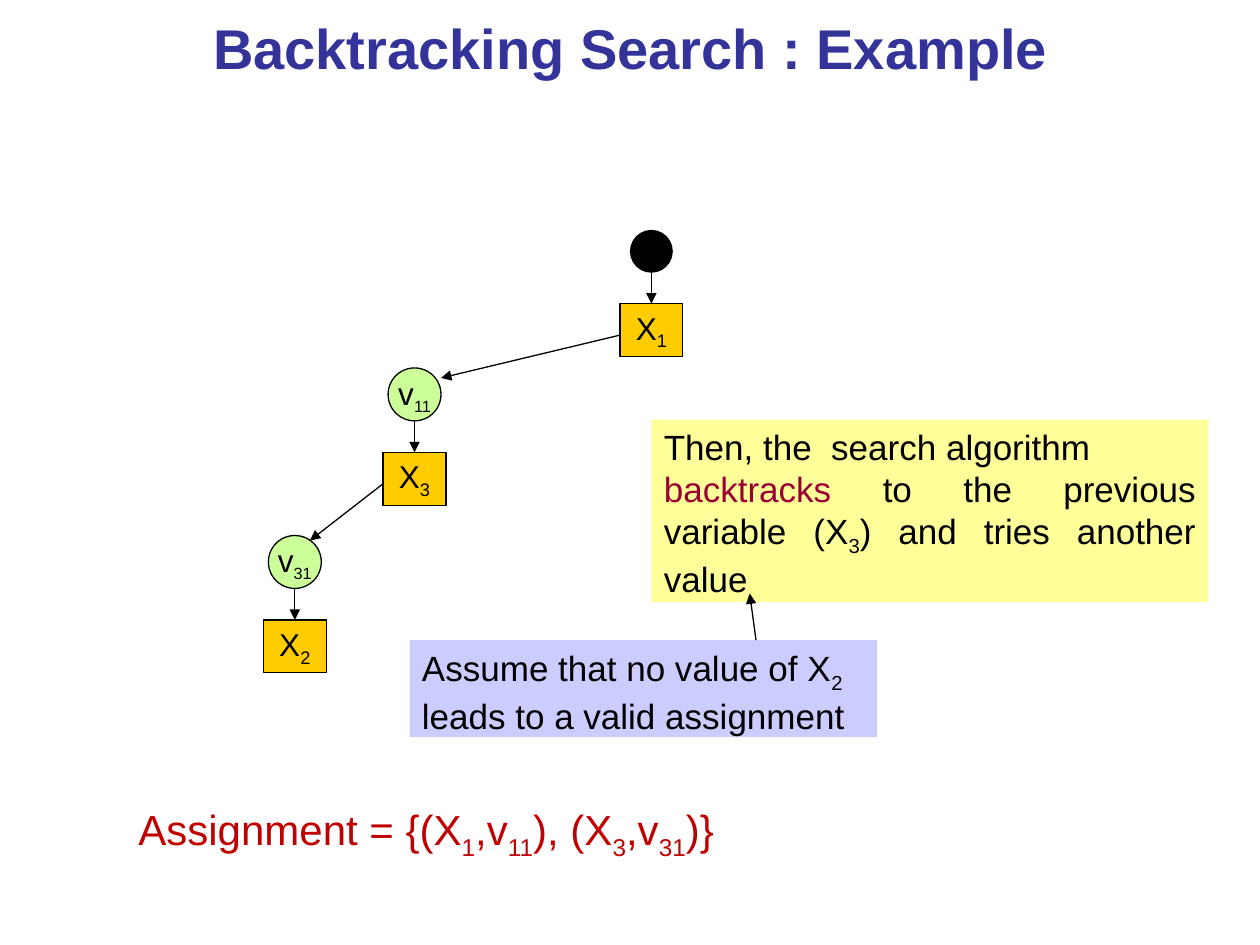
import pptx
import pptx.util
import pptx.dml.color
import pptx.enum.shapes
import pptx.enum.text
import pptx.oxml.ns
import lxml.etree

Inches = pptx.util.Inches
Pt = pptx.util.Pt
Shape = pptx.enum.shapes.MSO_SHAPE
Align = pptx.enum.text.PP_ALIGN
Anchor = pptx.enum.text.MSO_ANCHOR
Fit = pptx.enum.text.MSO_AUTO_SIZE
BLACK = "000000"


def color(code):
    """Turn a hex string into a colour."""
    return pptx.dml.color.RGBColor.from_string(code)


def write(shape, lines, size, align, ink=BLACK, sub=None, accent=None, bold=False):
    """Fill a shape with lines, where _x_ is a subscript and *x* is accented."""
    frame = shape.text_frame
    for index, line in enumerate(lines):
        para = frame.add_paragraph() if index else frame.paragraphs[0]
        para.alignment = align
        para.font.name = "Arial"
        para.font.size = Pt(size)
        para.font.bold = bold
        para.font.color.rgb = color(ink)
        for turn, part in enumerate(line.split("*")):
            for step, text in enumerate(part.split("_")):
                if not text:
                    continue
                run = para.add_run()
                run.text = text
                if turn % 2:
                    run.font.color.rgb = color(accent)
                if step % 2:
                    run.font._element.set("baseline", "-25000")
                    if sub:
                        run.font.size = Pt(sub)


def block(slide, kind, left, top, width, height, fill, line=None):
    """Add a flat filled shape."""
    shape = slide.shapes.add_shape(
        kind, Inches(left), Inches(top), Inches(width), Inches(height))
    shape.shadow.inherit = False
    shape.fill.solid()
    shape.fill.fore_color.rgb = color(fill)
    if line:
        shape.line.color.rgb = color(line)
        shape.line.width = Pt(0.75)
    else:
        shape.line.fill.background()
    return shape


def node(slide, kind, left, top, width, height, fill, label, sub=None):
    """Add a tree node with a centred label."""
    shape = block(slide, kind, left, top, width, height, fill, BLACK)
    shape.text_frame.word_wrap = False
    shape.text_frame.vertical_anchor = Anchor.MIDDLE
    if label:
        write(shape, [label], 18, Align.CENTER, sub=sub)
    return shape


def arrow(slide, start, end):
    """Add a thin black arrow between two points."""
    link = slide.shapes.add_connector(
        pptx.enum.shapes.MSO_CONNECTOR.STRAIGHT, *map(Inches, start + end))
    link.line.color.rgb = color(BLACK)
    link.line.width = Pt(0.75)
    qn = pptx.oxml.ns.qn
    lxml.etree.SubElement(link.line._get_or_add_ln(), qn("a:tailEnd"), type="triangle")
    lxml.etree.SubElement(link._element.spPr, qn("a:effectLst"))
    return link


def heading(slide, left, top, width, height):
    """Place the slide title."""
    box = slide.shapes.add_textbox(
        Inches(left), Inches(top), Inches(width), Inches(height))
    box.text_frame.word_wrap = True
    box.text_frame.vertical_anchor = Anchor.MIDDLE
    write(box, ["Backtracking Search : Example"], 32, Align.CENTER, "333399", bold=True)


def stage(slide, mid, top, size, fill, value, name):
    """Place a value circle and the variable box below it."""
    wide, high, gap = 0.5, 0.42, 0.25
    node(slide, Shape.OVAL, mid - size / 2, top, size, size, fill, value, 16)
    base = top + size
    box = node(slide, Shape.RECTANGLE, mid - wide / 2, base + gap, wide, high,
               "FFCC00", name)
    arrow(slide, (mid, base), (mid, base + gap)).end_connect(box, 0)
    return mid - wide / 2, base + 2 * gap


def tree(slide, left, top):
    """Place the search tree from its root down."""
    green = "CCFF99"
    levels = [
        (3.09, 0, 0.33, BLACK, "", "X_1_"),
        (1.21, 1.09, 0.42, green, "v_11_", "X_3_"),
        (0.26, 2.42, 0.42, green, "v_31_", "X_2_"),
    ]
    exits = [stage(slide, left + mid, top + drop, *rest)
             for mid, drop, *rest in levels]
    for start, (across, down) in zip(exits, [(1.42, 1.17), (0.38, 2.46)]):
        arrow(slide, start, (left + across, top + down))


def notes(slide, left, top):
    """Place the two remarks and the arrow that joins them."""
    cause = block(slide, Shape.RECTANGLE, left, top + 1.75, 3.71, 0.77, "CCCCFF")
    effect = block(slide, Shape.RECTANGLE, left + 1.92, top, 4.42, 1.45, "FFFF99")
    for shape, wrap in ((cause, False), (effect, True)):
        shape.text_frame.word_wrap = wrap
        shape.text_frame.auto_size = Fit.SHAPE_TO_FIT_TEXT
        shape.text_frame.vertical_anchor = Anchor.TOP
    write(cause, ["Assume that no value of X_2_", "leads to a valid assignment"],
          20, Align.JUSTIFY)
    write(effect, ["Then, the  search algorithm ",
                   "*backtracks *to the previous variable (X_3_) and tries another value"],
          20, Align.JUSTIFY, accent="990033")
    arrow(slide, (left + 2.75, top + 1.75), (left + 2.7, top + 1.38))


def result(slide, left, top, width, height):
    """Place the current assignment."""
    box = slide.shapes.add_textbox(
        Inches(left), Inches(top), Inches(width), Inches(height))
    box.text_frame.word_wrap = False
    box.text_frame.auto_size = Fit.SHAPE_TO_FIT_TEXT
    write(box, ["Assignment = {(X_1_,v_11_), (X_3_,v_31_)}"], 24, Align.LEFT, "C00000")


def main():
    """Build and save the slide."""
    deck = pptx.Presentation()
    deck.slide_width, deck.slide_height = Inches(10), Inches(7.5)
    slide = deck.slides.add_slide(deck.slide_layouts[6])
    heading(slide, 0.17, 0, 9.67, 0.75)
    tree(slide, 2.08, 1.83)
    notes(slide, 3.25, 3.33)
    result(slide, 1, 6.33, 4.94, 0.5)
    deck.save("out.pptx")


if __name__ == "__main__":
    main()
